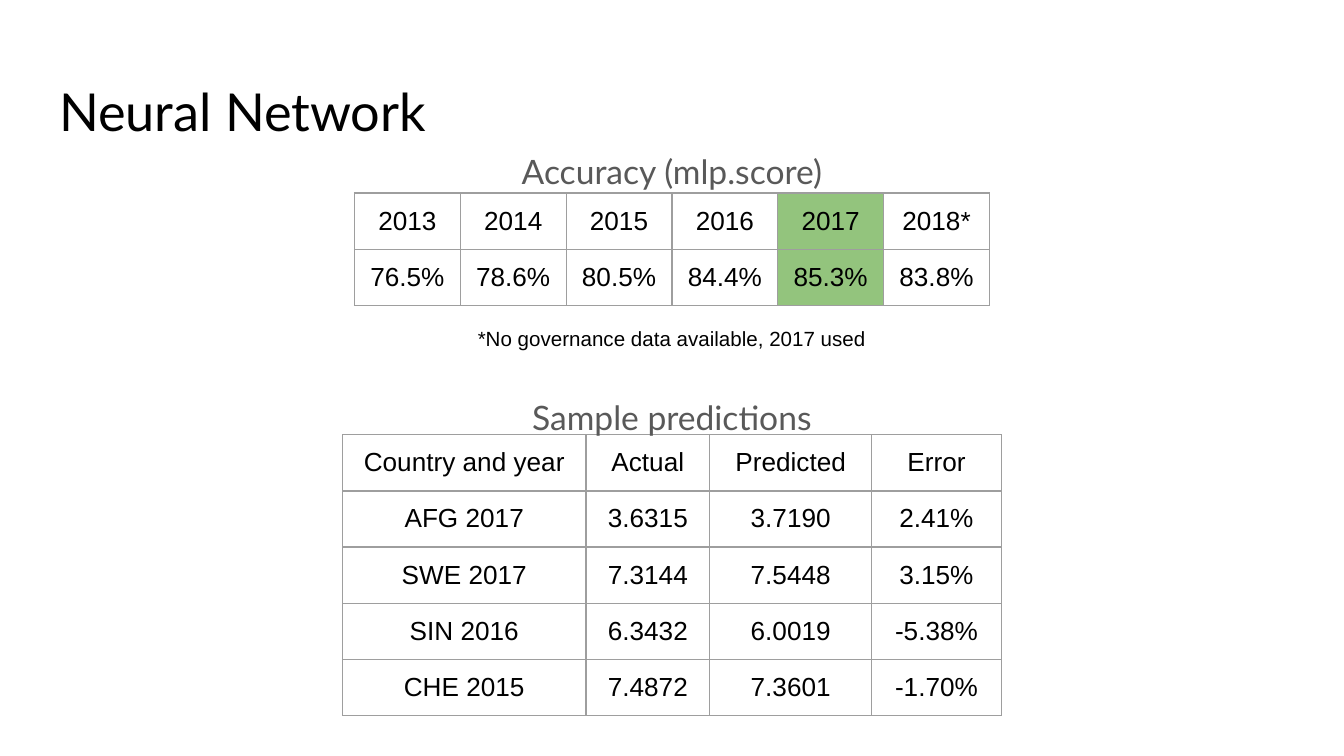
from pptx import Presentation
from pptx import util as u
from pptx.dml import color
from pptx.enum import text
from pptx.oxml import ns
from lxml import etree

Cm, Pt = u.Cm, u.Pt
WIDE, HIGH = 25.4, 14.29
MID = WIDE / 2
ROW = 1.06
GREEN, GREY, BLACK, LINE = "93C47D", "595959", "000000", "9E9E9E"


def rgb(code):
    return color.RGBColor.from_string(code)


def write(frame, words, size, font="Arial", ink=BLACK, align=text.PP_ALIGN.CENTER):
    """Set one paragraph of text and format its run."""
    frame.text = words
    para = frame.paragraphs[0]
    para.alignment = align
    face = para.runs[0].font
    face.size, face.name, face.color.rgb = Pt(size), font, rgb(ink)
    return para


def pad(frame):
    """Give a text frame equal insets and top-anchored, wrapped text."""
    frame.margin_left = frame.margin_right = Cm(0.25)
    frame.margin_top = frame.margin_bottom = Cm(0.25)
    frame.vertical_anchor = text.MSO_ANCHOR.TOP
    frame.auto_size = text.MSO_AUTO_SIZE.NONE
    frame.word_wrap = True


def add_title(slide, box, words):
    title = slide.shapes.title
    title.left, title.top, title.width, title.height = map(Cm, box)
    pad(title.text_frame)
    write(title.text_frame, words, 28, "Lato", align=text.PP_ALIGN.LEFT)


def add_label(slide, top, width, words, size, **style):
    """Add a line of text centred on the slide."""
    box = slide.shapes.add_textbox(Cm(MID - width / 2), Cm(top), Cm(width), Cm(1.17))
    pad(box.text_frame)
    return write(box.text_frame, words, size, **style)


def add_head(slide, top, words):
    para = add_label(slide, top, 7.52, words, 18, font="Lato", ink=GREY)
    para.line_spacing, para.space_after = 1.15, Pt(16)


def edge(cell):
    """Draw a thin border on all four sides of a cell."""
    props = cell._tc.get_or_add_tcPr()
    for side in ("a:lnL", "a:lnR", "a:lnT", "a:lnB"):
        line = etree.SubElement(props, ns.qn(side), w=str(Pt(0.75)))
        fill = etree.SubElement(line, ns.qn("a:solidFill"))
        etree.SubElement(fill, ns.qn("a:srgbClr"), val=LINE)


def add_grid(slide, top, widths, rows, mark=None):
    """Add a centred table; mark is the column to highlight."""
    total = sum(widths)
    grid = slide.shapes.add_table(
        len(rows), len(widths), Cm(MID - total / 2), Cm(top), Cm(total), Cm(ROW * len(rows))
    ).table
    grid.first_row = grid.horz_banding = False
    for col, width in zip(grid.columns, widths):
        col.width = Cm(width)
    for r, row in enumerate(rows):
        grid.rows[r].height = Cm(ROW)
        for c, words in enumerate(row):
            cell = grid.cell(r, c)
            cell.margin_left = cell.margin_right = Cm(0.25)
            cell.margin_top = cell.margin_bottom = Cm(0.25)
            write(cell.text_frame, words, 14)
            edge(cell)
            if c == mark:
                cell.fill.solid()
                cell.fill.fore_color.rgb = rgb(GREEN)
            else:
                cell.fill.background()


def main():
    deck = Presentation()
    deck.slide_width, deck.slide_height = Cm(WIDE), Cm(HIGH)
    slide = deck.slides.add_slide(deck.slide_layouts[5])

    add_title(slide, (0.87, 1.24, 23.67, 1.6), "Neural Network")

    # Accuracy by year
    add_head(slide, 2.49, "Accuracy (mlp.score)")
    scores = [
        ("2013", "2014", "2015", "2016", "2017", "2018*"),
        ("76.5%", "78.6%", "80.5%", "84.4%", "85.3%", "83.8%"),
    ]
    add_grid(slide, 3.65, [2] * 6, scores, mark=4)
    add_label(slide, 5.92, 7.9, "*No governance data available, 2017 used", 11)

    # Predictions by country; the heading lies over the table's top edge
    samples = [
        ("Country and year", "Actual", "Predicted", "Error"),
        ("AFG 2017", "3.6315", "3.7190", "2.41%"),
        ("SWE 2017", "7.3144", "7.5448", "3.15%"),
        ("SIN 2016", "6.3432", "6.0019", "-5.38%"),
        ("CHE 2015", "7.4872", "7.3601", "-1.70%"),
    ]
    add_grid(slide, 8.22, [4.6, 2.34, 3.06, 2.45], samples)
    add_head(slide, 7.14, "Sample predictions")

    deck.save("out.pptx")


if __name__ == "__main__":
    main()
